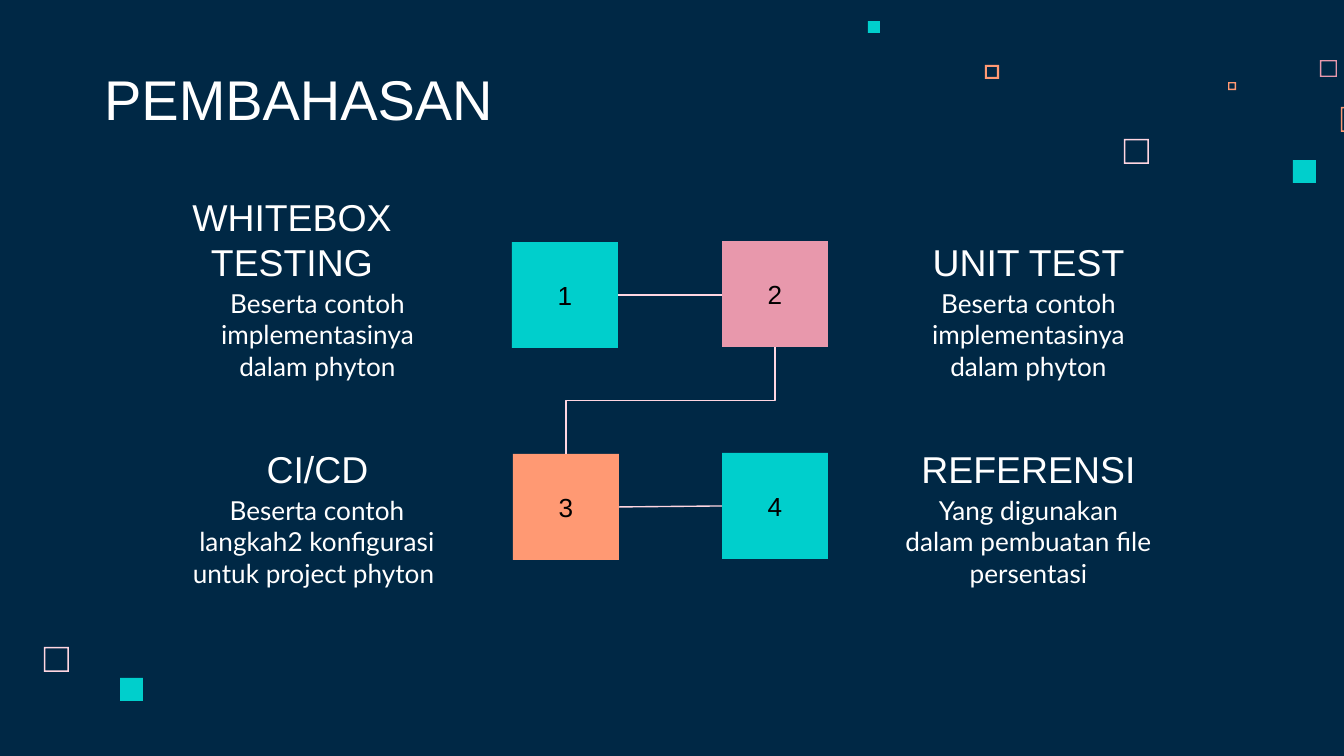
"""Build the PEMBAHASAN slide: four numbered topics joined by lines."""
import pptx
import pptx.dml.color
import pptx.enum.shapes
import pptx.enum.text
import pptx.oxml
import pptx.oxml.ns
import pptx.util

RGB = pptx.dml.color.RGBColor
NAVY = RGB(0x00, 0x28, 0x45)
WHITE = RGB(0xFF, 0xFF, 0xFF)
BLACK = RGB(0x00, 0x00, 0x00)
TEAL = RGB(0x00, 0xCF, 0xCC)
PINK = RGB(0xE8, 0x98, 0xAC)
PALE = RGB(0xFF, 0xD6, 0xE1)
CORAL = RGB(0xFF, 0x99, 0x73)
KIND = pptx.enum.shapes.MSO_SHAPE
LINK = pptx.enum.shapes.MSO_CONNECTOR
ALIGN = pptx.enum.text.PP_ALIGN
ANCHOR = pptx.enum.text.MSO_ANCHOR
SCALE = 914400 / 134.4
SIDE = 106
ROWS = (202, 409)
DROP = 72
DEEP = 95

TITLE = ("PEMBAHASAN", 91, 60, 866, 85)
SAME = "Beserta contoh implementasinya dalam phyton"
# fmt: off
TOPICS = [
    {"head": "WHITEBOX TESTING", "body": SAME, "row": 0,
     "hspan": (128, 328), "bspan": (179, 277), "box": (512, 242), "fill": TEAL},
    {"head": "UNIT TEST", "body": SAME, "row": 0,
     "hspan": (890, 277), "bspan": (890, 277), "box": (722, 241), "fill": PINK},
    {"head": "CI/CD", "body": "Beserta contoh langkah2 konfigurasi untuk project phyton ", "row": 1,
     "hspan": (179, 277), "bspan": (164, 306), "box": (513, 454), "fill": CORAL},
    {"head": "REFERENSI", "body": "Yang digunakan dalam pembuatan file persentasi", "row": 1,
     "hspan": (890, 277), "bspan": (890, 277), "box": (722, 453), "fill": TEAL},
]
# fmt: on
FRAMES = [
    (1124, 139, 25, 0.06, PALE),
    (1320, 60, 17, 0.08, PINK),
    (1228, 82, 8, 0.16, CORAL),
    (1341, 107, 25, 0.06, CORAL),
    (985, 65, 14, 0.14, CORAL),
    (44, 647, 25, 0.06, PALE),
]
DOTS = [(1293, 160, 23), (868, 21, 12), (120, 678, 23)]
JOINS = [(0, 3, 1, 1, LINK.ELBOW), (1, 2, 2, 0, LINK.ELBOW), (2, 3, 3, 1, LINK.STRAIGHT)]


def px(num):
    return pptx.util.Emu(round(num * SCALE))


def write(shape, text, size, font, color, align, anchor):
    frame = shape.text_frame
    frame.word_wrap = True
    frame.vertical_anchor = anchor
    frame.margin_left = frame.margin_right = pptx.util.Inches(0.1)
    frame.margin_top = frame.margin_bottom = pptx.util.Inches(0.1)
    para = frame.paragraphs[0]
    para.alignment = align
    run = para.add_run()
    run.text = text
    run.font.size = pptx.util.Pt(size)
    run.font.name = font
    run.font.color.rgb = color


def label(slide, text, area, size, font, align, anchor):
    box = slide.shapes.add_textbox(*map(px, area))
    write(box, text, size, font, WHITE, align, anchor)


def block(slide, kind, left, top, side, fill):
    shape = slide.shapes.add_shape(kind, px(left), px(top), px(side), px(side))
    shape.shadow.inherit = False
    shape.fill.solid()
    shape.fill.fore_color.rgb = fill
    shape.line.fill.background()
    return shape


def join(slide, start, end, exit_site, entry_site, kind):
    line = slide.shapes.add_connector(kind, 0, 0, 0, 0)
    line.begin_connect(start, exit_site)
    line.end_connect(end, entry_site)
    line.line.color.rgb = PALE
    line.line.width = pptx.util.Pt(0.75)
    props = line._element.spPr
    props.append(pptx.oxml.parse_xml("<a:effectLst %s/>" % pptx.oxml.ns.nsdecls("a")))
    if exit_site == 2:
        turn(line, props)
    elif kind == LINK.ELBOW:
        line.end_y = line.begin_y


def turn(line, props):
    wide, high = line.width, line.height
    midx, midy = line.left + wide // 2, line.top + high // 2
    line.left, line.top = midx - high // 2, midy - wide // 2
    line.width, line.height = high, wide
    form = props.find(pptx.oxml.ns.qn("a:xfrm"))
    form.attrib.pop("flipH", None)
    form.set("rot", str(90 * 60000))


def main():
    deck = pptx.Presentation()
    deck.slide_width, deck.slide_height = px(1344), px(756)
    slide = deck.slides.add_slide(deck.slide_layouts[6])
    slide.background.fill.solid()
    slide.background.fill.fore_color.rgb = NAVY

    for left, top, side, edge, fill in FRAMES:
        block(slide, KIND.FRAME, left, top, side, fill).adjustments[0] = edge
    for left, top, side in DOTS:
        block(slide, KIND.RECTANGLE, left, top, side, TEAL)

    label(slide, TITLE[0], TITLE[1:], 30, "Arial", ALIGN.LEFT, ANCHOR.BOTTOM)
    boxes = []
    for num, topic in enumerate(TOPICS, 1):
        top = ROWS[topic["row"]]
        left, wide = topic["hspan"]
        label(slide, topic["head"], (left, top, wide, DEEP), 20, "Arial", ALIGN.CENTER, ANCHOR.BOTTOM)
        left, wide = topic["bspan"]
        label(slide, topic["body"], (left, top + DROP, wide, DEEP), 14, "Lato", ALIGN.CENTER, ANCHOR.TOP)
        box = block(slide, KIND.RECTANGLE, *topic["box"], SIDE, topic["fill"])
        write(box, str(num), 14, "Arial", BLACK, ALIGN.CENTER, ANCHOR.MIDDLE)
        boxes.append(box)
    for start, exit_site, end, entry_site, kind in JOINS:
        join(slide, boxes[start], boxes[end], exit_site, entry_site, kind)
    deck.save("out.pptx")


if __name__ == "__main__":
    main()
